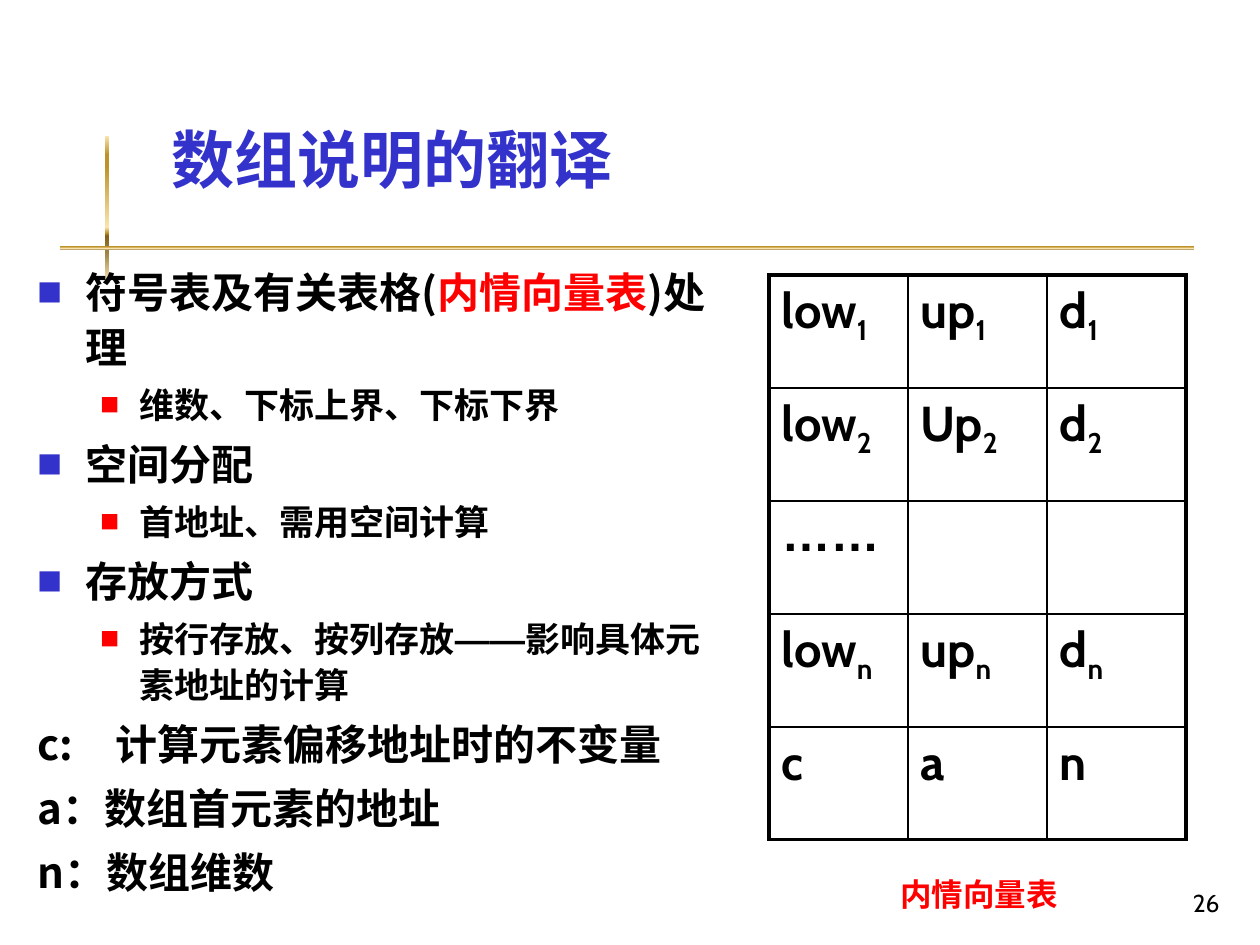
from lxml import etree
from pptx import Presentation
from pptx.dml.color import RGBColor
from pptx.enum.shapes import MSO_SHAPE
from pptx.enum.text import MSO_ANCHOR, MSO_AUTO_SIZE, PP_ALIGN
from pptx.oxml.ns import qn
from pptx.util import Pt

RECT = MSO_SHAPE.RECTANGLE
MIDDLE, BOTTOM = MSO_ANCHOR.MIDDLE, MSO_ANCHOR.BOTTOM
LEFT, RIGHT = PP_ALIGN.LEFT, PP_ALIGN.RIGHT
NO_FIT = MSO_AUTO_SIZE.NONE

BLUE = RGBColor(0x33, 0x33, 0xCC)
RED = RGBColor(0xFF, 0x00, 0x00)
BLACK = RGBColor(0x00, 0x00, 0x00)
CJK, LATIN, DASH_FONT = "Noto Sans CJK JP", "Cabin", "Arial"

GOLD_STOPS = [(0, "FBE4AE"), (13, "BD922A"), (21, "BD922A"), (63, "FBE4AE"),
              (67, "BD922A"), (69, "835E17"), (82, "A28949"), (100, "FAE3B7")]
GOLD_RULES = [(105, 136, 4, 145), (60, 246, 1134, 4)]

TITLE = "数组说明的翻译"
CAPTION = "内情向量表"
PAGE = "26"

# style -> size, left margin px, first-line indent px, bullet colour, bullet %
STYLES = {
    "topic": (24, 48, -48, BLUE, 60),
    "detail": (20, 102, -39, RED, 55),
    "legend": (24, 48, -48, None, None),
}
# style, runs of (text, font, colour)
BODY = [
    ("topic", [("符号表及有关表格(", CJK, BLACK), ("内情向量表", CJK, RED),
               (")处理", CJK, BLACK)]),
    ("detail", [("维数、下标上界、下标下界", CJK, BLACK)]),
    ("topic", [("空间分配", CJK, BLACK)]),
    ("detail", [("首地址、需用空间计算", CJK, BLACK)]),
    ("topic", [("存放方式", CJK, BLACK)]),
    ("detail", [("按行存放、按列存放", CJK, BLACK), ("——", DASH_FONT, BLACK),
                ("影响具体元素地址的计算", CJK, BLACK)]),
    ("legend", [("c:　计算元素偏移地址时的不变量", CJK, BLACK)]),
    ("legend", [("a：数组首元素的地址", CJK, BLACK)]),
    ("legend", [("n：数组维数", CJK, BLACK)]),
]

# cell -> (text, subscript)
VECTOR = [
    [("low", "1"), ("up", "1"), ("d", "1")],
    [("low", "2"), ("Up", "2"), ("d", "2")],
    [("……", ""), ("", ""), ("", "")],
    [("low", "n"), ("up", "n"), ("d", "n")],
    [("c", ""), ("a", ""), ("n", "")],
]
TABLE_X, TABLE_Y, COL_W, ROW_H = 769, 275, 139, 113
OUTER, INNER = 2.25, 1


def px(n):
    return round(n * 914400 / 126)


def box(values):
    return [px(v) for v in values]


def add_run(p, text, font, size, color, bold=True):
    r = p.add_run()
    r.text = text
    r.font.size, r.font.bold, r.font.name = Pt(size), bold, font
    r.font.color.rgb = color
    etree.SubElement(r.font._element, qn("a:ea"), typeface=font)
    return r


def add_text(slide, area, wrap=True):
    tf = slide.shapes.add_textbox(*box(area)).text_frame
    tf.word_wrap = wrap
    return tf


def add_gold_rule(slide, area):
    s = slide.shapes.add_shape(RECT, *box(area))
    s.shadow.inherit = False
    s.line.fill.background()
    s.fill.gradient()
    s.fill.gradient_angle = 270
    stops = s._element.spPr.find(".//" + qn("a:gsLst"))
    for old in list(stops):
        stops.remove(old)
    for pos, color in GOLD_STOPS:
        gs = etree.SubElement(stops, qn("a:gs"), pos=str(pos * 1000))
        etree.SubElement(gs, qn("a:srgbClr"), val=color)


def set_bullet(p, left, indent, color, percent):
    pPr = p._p.get_or_add_pPr()
    pPr.set("marL", str(px(left)))
    pPr.set("indent", str(px(indent)))
    if color is None:
        etree.SubElement(pPr, qn("a:buNone"))
        return
    clr = etree.SubElement(pPr, qn("a:buClr"))
    etree.SubElement(clr, qn("a:srgbClr"), val=str(color))
    etree.SubElement(pPr, qn("a:buSzPct"), val=str(percent * 1000))
    etree.SubElement(pPr, qn("a:buFont"), typeface=CJK)
    etree.SubElement(pPr, qn("a:buChar"), char="■")


def set_borders(cell, widths):
    tcPr = cell._tc.get_or_add_tcPr()
    for i, (side, width) in enumerate(widths.items()):
        ln = etree.Element(qn("a:ln" + side), w=str(Pt(width)))
        fill = etree.SubElement(ln, qn("a:solidFill"))
        etree.SubElement(fill, qn("a:srgbClr"), val=str(BLACK))
        tcPr.insert(i, ln)


def add_body(slide):
    tf = add_text(slide, (25, 255, 694, 655))
    for i, (style, runs) in enumerate(BODY):
        size, *bullet = STYLES[style]
        p = tf.add_paragraph() if i else tf.paragraphs[0]
        p.line_spacing = 1.1
        if i:
            p.space_before = Pt(size * 0.2)
        set_bullet(p, *bullet)
        for text, font, color in runs:
            add_run(p, text, font, size, color)


def add_vector_table(slide):
    rows, cols = len(VECTOR), len(VECTOR[0])
    area = box((TABLE_X, TABLE_Y, COL_W * cols, ROW_H * rows))
    table = slide.shapes.add_table(rows, cols, *area).table
    table.first_row = table.horz_banding = False
    for col in table.columns:
        col.width = px(COL_W)
    for i, row in enumerate(VECTOR):
        table.rows[i].height = px(ROW_H)
        for j, (text, sub) in enumerate(row):
            cell = table.cell(i, j)
            cell.fill.background()
            set_borders(cell, {"L": INNER if j else OUTER,
                               "R": INNER if j < cols - 1 else OUTER,
                               "T": INNER if i else OUTER,
                               "B": INNER if i < rows - 1 else OUTER})
            p = cell.text_frame.paragraphs[0]
            if text:
                add_run(p, text, DASH_FONT if text == "……" else LATIN, 28, BLACK)
            if sub:
                r = add_run(p, sub, LATIN, 28, BLACK)
                r.font._element.set("baseline", "-25000")


def main():
    prs = Presentation()
    prs.slide_width, prs.slide_height = px(1260), px(945)
    slide = prs.slides.add_slide(prs.slide_layouts[5])
    for area in GOLD_RULES:
        add_gold_rule(slide, area)

    title = slide.shapes.title
    title.left, title.top, title.width, title.height = box((159, 86, 1074, 145))
    tf = title.text_frame
    tf.vertical_anchor, tf.auto_size = MIDDLE, NO_FIT
    tf.paragraphs[0].alignment = LEFT
    add_run(tf.paragraphs[0], TITLE, CJK, 36, BLUE)

    add_body(slide)
    add_vector_table(slide)

    tf = add_text(slide, (970, 861, 262, 63))
    tf.vertical_anchor = BOTTOM
    tf.paragraphs[0].alignment = RIGHT
    add_run(tf.paragraphs[0], PAGE, LATIN, 14, BLACK, bold=False)

    tf = add_text(slide, (888, 869, 185, 50), wrap=False)
    add_run(tf.paragraphs[0], CAPTION, CJK, 18, RED)
    prs.save("out.pptx")


if __name__ == "__main__":
    main()
